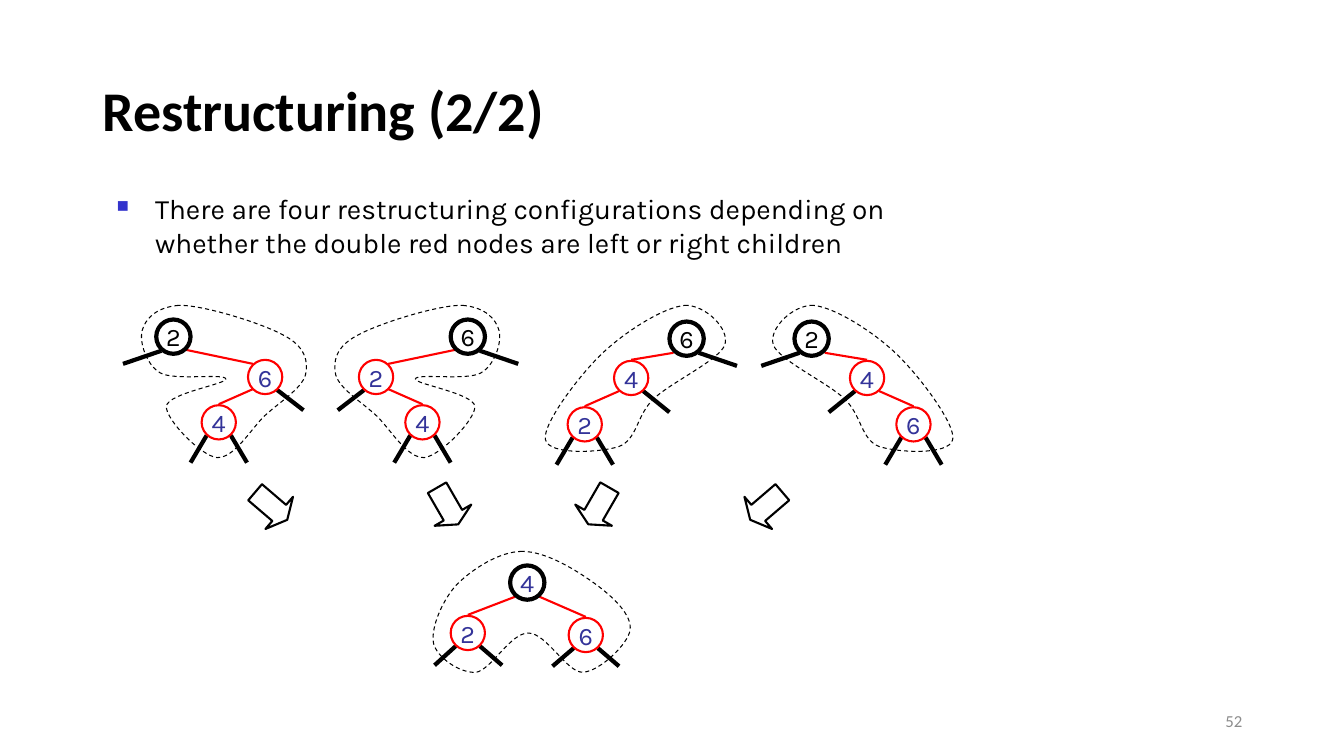
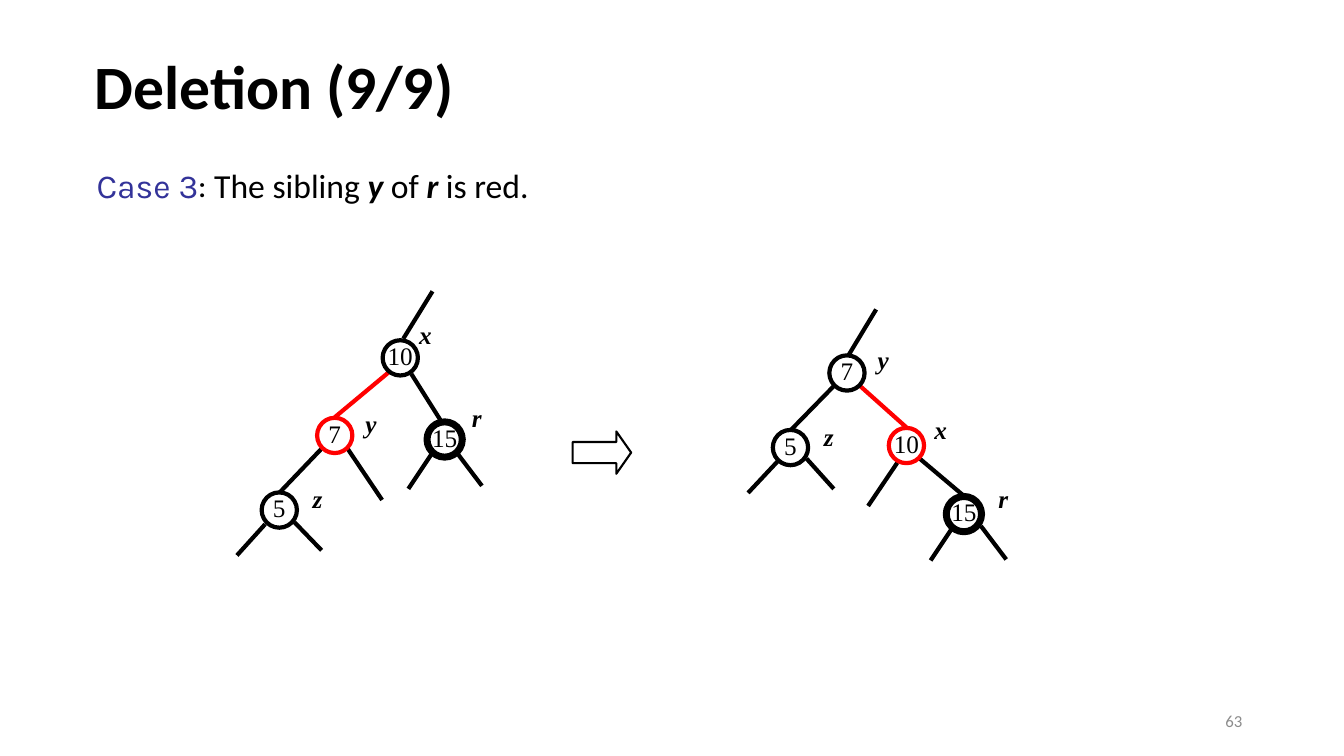
from typing import NamedTuple

from pptx import Presentation
from pptx.dml.color import RGBColor
from pptx.enum.dml import MSO_LINE
from pptx.enum.shapes import MSO_CONNECTOR, MSO_SHAPE
from pptx.enum.text import MSO_ANCHOR, PP_ALIGN
from pptx.oxml.xmlchemy import OxmlElement
from pptx.util import Inches, Pt

BLACK = RGBColor(0x00, 0x00, 0x00)
WHITE = RGBColor(0xFF, 0xFF, 0xFF)
RED = RGBColor(0xFF, 0x00, 0x00)
INDIGO = RGBColor(0x33, 0x33, 0x99)
GRAY = RGBColor(0x8C, 0x8C, 0x8C)
BULLET_COLOR = RGBColor(0x33, 0x33, 0xCC)

SANS, BODY, SERIF = "Calibri", "Karla", "Times New Roman"

STRAIGHT = MSO_CONNECTOR.STRAIGHT
ELLIPSE, DOWN_ARROW, RIGHT_ARROW = MSO_SHAPE.OVAL, MSO_SHAPE.DOWN_ARROW, MSO_SHAPE.RIGHT_ARROW
DASH = MSO_LINE.DASH
LEFT, CENTER, RIGHT = PP_ALIGN.LEFT, PP_ALIGN.CENTER, PP_ALIGN.RIGHT
TOP, MIDDLE = MSO_ANCHOR.TOP, MSO_ANCHOR.MIDDLE

BRANCH_WIDTH = 3
LABEL_SIZE = (0.6, 0.4)


class Node(NamedTuple):
    x: float  # centre
    y: float
    key: int
    line: RGBColor = RED
    width: float = 1.5
    color: RGBColor = INDIGO


class Tree(NamedTuple):
    nodes: list
    red_edges: list
    black_edges: list
    outline: tuple = ()  # start point, then three points per Bezier curve
    labels: tuple = ()  # (centre x, top, text)


class TreeStyle(NamedTuple):
    diameter: float
    font: str
    red_width: float
    insets: tuple


RESTRUCTURING_STYLE = TreeStyle(0.34, BODY, 1.5, (0.1, 0.05, 0.1, 0.05))
DELETION_STYLE = TreeStyle(0.35, SERIF, 3, (0, 0, 0, 0.05))

# Restructuring trees, each edge as (x1, y1, x2, y2)
ZIGZAG = Tree(
    nodes=[Node(1.72, 3.34, 2, BLACK, 3, BLACK), Node(2.17, 4.19, 4), Node(2.63, 3.74, 6)],
    red_edges=[(1.84, 3.47, 2.51, 3.61), (2.51, 3.86, 2.17, 4.01)],
    black_edges=[(2.29, 4.32, 2.45, 4.59), (2.05, 4.32, 1.89, 4.59),
                 (2.75, 3.87, 3.01, 4.07), (1.6, 3.48, 1.22, 3.61)],
    outline=((1.77, 3.03),
             (1.54, 3.05), (1.44, 3.17), (1.41, 3.28), (1.38, 3.39), (1.45, 3.62), (1.59, 3.7),
             (1.73, 3.78), (2.23, 3.7), (2.24, 3.76), (2.25, 3.81), (1.67, 3.9), (1.65, 4.03),
             (1.64, 4.16), (1.99, 4.52), (2.15, 4.54), (2.32, 4.55), (2.48, 4.27), (2.62, 4.13),
             (2.77, 3.99), (2.99, 3.86), (3.03, 3.72), (3.06, 3.59), (3.03, 3.44), (2.82, 3.33),
             (2.61, 3.21), (2, 3.02), (1.77, 3.03)))
STRAIGHT_CHAIN = Tree(
    nodes=[Node(8.05, 3.36, 2, BLACK, 3, BLACK), Node(9.06, 4.21, 6), Node(8.6, 3.75, 4)],
    red_edges=[(8.18, 3.5, 8.6, 3.57), (8.72, 3.88, 9.06, 4.03)],
    black_edges=[(8.94, 4.34, 8.78, 4.61), (9.18, 4.34, 9.34, 4.61),
                 (8.48, 3.88, 8.22, 4.09), (7.93, 3.5, 7.55, 3.63)],
    outline=((8.07, 3.03),
             (7.87, 3.02), (7.62, 3.26), (7.67, 3.42), (7.72, 3.57), (8.2, 3.79), (8.38, 3.96),
             (8.55, 4.13), (8.54, 4.36), (8.72, 4.43), (8.9, 4.49), (9.42, 4.52), (9.45, 4.36),
             (9.48, 4.21), (9.12, 3.73), (8.89, 3.51), (8.66, 3.29), (8.28, 3.05), (8.07, 3.03)))
BALANCED = Tree(
    nodes=[Node(4.64, 6.28, 2), Node(5.81, 6.3, 6), Node(5.23, 5.78, 4, BLACK, 3)],
    red_edges=[(4.64, 6.1, 5.11, 5.92), (5.35, 5.92, 5.81, 6.12)],
    black_edges=[(5.69, 6.43, 5.48, 6.61), (5.93, 6.43, 6.14, 6.61),
                 (4.98, 6.6, 4.76, 6.41), (4.52, 6.41, 4.31, 6.6)],
    outline=((5.18, 5.47),
             (4.95, 5.47), (4.68, 5.65), (4.53, 5.8), (4.39, 5.95), (4.27, 6.23), (4.3, 6.38),
             (4.33, 6.52), (4.56, 6.68), (4.72, 6.67), (4.87, 6.65), (5.06, 6.28), (5.24, 6.28),
             (5.42, 6.28), (5.62, 6.67), (5.78, 6.67), (5.95, 6.66), (6.23, 6.39), (6.25, 6.25),
             (6.27, 6.1), (6.08, 5.92), (5.9, 5.79), (5.72, 5.66), (5.42, 5.47), (5.18, 5.47)))

# Deletion trees
BEFORE_ROTATION = Tree(
    nodes=[Node(3.32, 4.32, 7, RED, 3, BLACK), Node(4.41, 4.36, 15, BLACK, 5, BLACK),
           Node(2.77, 5.06, 5, BLACK, 3, BLACK), Node(3.97, 3.55, 10, BLACK, 3, BLACK)],
    red_edges=[(3.86, 3.69, 3.32, 4.14)],
    black_edges=[(4.37, 4.17, 4.08, 3.71), (4.05, 4.85, 4.29, 4.49), (4.53, 4.49, 4.78, 4.82),
                 (2.35, 5.51, 2.63, 5.2), (2.77, 4.89, 3.2, 4.44), (2.92, 5.18, 3.19, 5.46),
                 (4, 3.36, 4.29, 2.89), (3.44, 4.44, 3.79, 4.96)],
    labels=((4.73, 3.94, "r"), (3.68, 4, "y"), (4.22, 3.12, "x"), (3.15, 4.75, "z")))
AFTER_ROTATION = Tree(
    nodes=[Node(8.4, 3.7, 7, BLACK, 3, BLACK), Node(9.56, 5.1, 15, BLACK, 5, BLACK),
           Node(7.84, 4.44, 5, BLACK, 3, BLACK), Node(8.99, 4.42, 10, RED, 3, BLACK)],
    red_edges=[(8.99, 4.24, 8.52, 3.82)],
    black_edges=[(9.56, 4.92, 9.11, 4.54), (9.23, 5.56, 9.47, 5.2), (9.73, 5.22, 9.98, 5.55),
                 (7.42, 4.89, 7.71, 4.58), (7.85, 4.26, 8.28, 3.82), (8, 4.55, 8.27, 4.85),
                 (8.61, 5.02, 8.9, 4.59), (8.4, 3.55, 8.69, 3.07)],
    labels=((9.95, 4.75, "r"), (8.76, 3.37, "y"), (9.33, 4.06, "x"), (8.22, 4.13, "z")))


def mirrored(tree, x_sum):
    """Reflect a tree left to right; keys 2, 4, 6 swap to 6, 4, 2."""
    return Tree(
        nodes=[node._replace(x=x_sum - node.x, key=8 - node.key) for node in tree.nodes],
        red_edges=[(x_sum - x1, y1, x_sum - x2, y2) for x1, y1, x2, y2 in tree.red_edges],
        black_edges=[(x_sum - x1, y1, x_sum - x2, y2) for x1, y1, x2, y2 in tree.black_edges],
        outline=tuple((x_sum - x, y) for x, y in tree.outline))


# Text
def add_run(paragraph, text, font, size, color, bold=False, italic=False):
    run = paragraph.add_run()
    run.text = text
    run.font.name = font
    run.font.size = Pt(size)
    run.font.color.rgb = color
    run.font.bold = bold
    run.font.italic = italic


def add_text_box(slide, left, top, width, height, align=LEFT, anchor=TOP):
    box = slide.shapes.add_textbox(Inches(left), Inches(top), Inches(width), Inches(height))
    box.text_frame.word_wrap = True
    box.text_frame.vertical_anchor = anchor
    paragraph = box.text_frame.paragraphs[0]
    paragraph.alignment = align
    return paragraph


def set_bullet(paragraph):
    properties = paragraph._p.get_or_add_pPr()
    properties.set("marL", str(Inches(0.38)))
    properties.set("indent", str(-Inches(0.38)))
    bullet_color = OxmlElement("a:buClr")
    rgb = OxmlElement("a:srgbClr")
    rgb.set("val", str(BULLET_COLOR))
    bullet_color.append(rgb)
    bullet_size = OxmlElement("a:buSzPct")
    bullet_size.set("val", "60000")
    bullet = OxmlElement("a:buChar")
    bullet.set("char", "■")
    for element in (bullet_color, bullet_size, bullet):
        properties.append(element)


def add_slide(presentation, title, title_left, title_top, title_size, number):
    """Blank slide with the shared title and page number."""
    slide = presentation.slides.add_slide(presentation.slide_layouts[6])
    paragraph = add_text_box(slide, title_left, title_top, 11.5, 1.45, anchor=MIDDLE)
    paragraph.line_spacing = 0.9
    add_run(paragraph, title, SANS, title_size, BLACK, bold=True)
    paragraph = add_text_box(slide, 9.42, 6.95, 3, 0.4, RIGHT, MIDDLE)
    add_run(paragraph, number, SANS, 12, GRAY)
    return slide


# Drawing
def set_line(shape, color, width):
    shape.line.color.rgb = color
    shape.line.width = Pt(width)


def add_edge(slide, edge, color, width):
    connector = slide.shapes.add_connector(STRAIGHT, *(Inches(value) for value in edge))
    set_line(connector, color, width)
    connector._element.spPr.append(OxmlElement("a:effectLst"))


def add_node(slide, node, style):
    diameter = style.diameter
    shape = slide.shapes.add_shape(
        ELLIPSE, Inches(node.x - diameter / 2), Inches(node.y - diameter / 2),
        Inches(diameter), Inches(diameter))
    shape.shadow.inherit = False
    shape.fill.solid()
    shape.fill.fore_color.rgb = WHITE
    set_line(shape, node.line, node.width)
    frame = shape.text_frame
    frame.word_wrap = False
    frame.vertical_anchor = MIDDLE
    (frame.margin_left, frame.margin_top,
     frame.margin_right, frame.margin_bottom) = (Inches(inset) for inset in style.insets)
    paragraph = frame.paragraphs[0]
    paragraph.alignment = CENTER
    add_run(paragraph, str(node.key), style.font, 18, node.color)


def bend_segments(shape):
    """Turn every three line segments into one cubic Bezier curve."""
    segments = shape._element.xpath(".//a:lnTo")
    for first in range(0, len(segments), 3):
        curve = OxmlElement("a:cubicBezTo")
        segments[first].addprevious(curve)
        for segment in segments[first:first + 3]:
            curve.append(segment[0])
            segment.getparent().remove(segment)


def add_outline(slide, points):
    start, *rest = [(Inches(x), Inches(y)) for x, y in points]
    builder = slide.shapes.build_freeform(*start)
    builder.add_line_segments(rest, close=True)
    shape = builder.convert_to_shape()
    bend_segments(shape)
    shape.shadow.inherit = False
    shape.fill.background()
    set_line(shape, BLACK, 0.75)
    shape.line.dash_style = DASH


def add_arrow(slide, kind, left, top, width, height, head, rotation=0):
    arrow = slide.shapes.add_shape(
        kind, Inches(left), Inches(top), Inches(width), Inches(height))
    arrow.shadow.inherit = False
    arrow.adjustments[0] = 0.5
    arrow.adjustments[1] = head
    arrow.rotation = rotation
    arrow.fill.background()
    set_line(arrow, BLACK, 1.5)


def add_tree(slide, tree, style):
    for edge in tree.red_edges:
        add_edge(slide, edge, RED, style.red_width)
    for edge in tree.black_edges:
        add_edge(slide, edge, BLACK, BRANCH_WIDTH)
    for node in tree.nodes:
        add_node(slide, node, style)
    if tree.outline:
        add_outline(slide, tree.outline)
    width, height = LABEL_SIZE
    for x, top, text in tree.labels:
        paragraph = add_text_box(slide, x - width / 2, top, width, height, CENTER)
        add_run(paragraph, text, SERIF, 18, BLACK, bold=True, italic=True)


# Slides
def build_restructuring(presentation):
    slide = add_slide(presentation, "Restructuring (2/2)", 0.92, 0.4, 40, "52")
    paragraph = add_text_box(slide, 1.06, 1.85, 8.5, 0.92)
    set_bullet(paragraph)
    add_run(paragraph, "There are four restructuring configurations depending on "
            "whether the double red nodes are left or right children", BODY, 20, BLACK)
    for tree in (ZIGZAG, mirrored(ZIGZAG, 6.36), mirrored(STRAIGHT_CHAIN, 14.86),
                 STRAIGHT_CHAIN, BALANCED):
        add_tree(slide, tree, RESTRUCTURING_STYLE)
    for left, rotation in ((2.48, -49.4), (4.23, -30), (5.73, 30), (7.39, 49.4)):
        add_arrow(slide, DOWN_ARROW, left, 4.81, 0.42, 0.42, 0.25, rotation)


def build_deletion(presentation):
    slide = add_slide(presentation, "Deletion (9/9)", 0.84, 0.16, 44, "63")
    paragraph = add_text_box(slide, 0.86, 1.59, 10.52, 0.5)
    add_run(paragraph, "Case 3", BODY, 24, INDIGO)
    add_run(paragraph, ": ", BODY, 24, BLACK)
    for text, emphasis in (("The sibling ", False), ("y", True), (" of ", False),
                           ("r", True), (" is red.", False)):
        add_run(paragraph, text, SANS, 24, BLACK, bold=emphasis, italic=emphasis)
    for tree in (BEFORE_ROTATION, AFTER_ROTATION):
        add_tree(slide, tree, DELETION_STYLE)
    add_arrow(slide, RIGHT_ARROW, 5.68, 4.28, 0.58, 0.42, 0.35)


def main():
    presentation = Presentation()
    presentation.slide_width = Inches(13.33)
    presentation.slide_height = Inches(7.5)
    build_restructuring(presentation)
    build_deletion(presentation)
    presentation.save("out.pptx")


if __name__ == "__main__":
    main()
